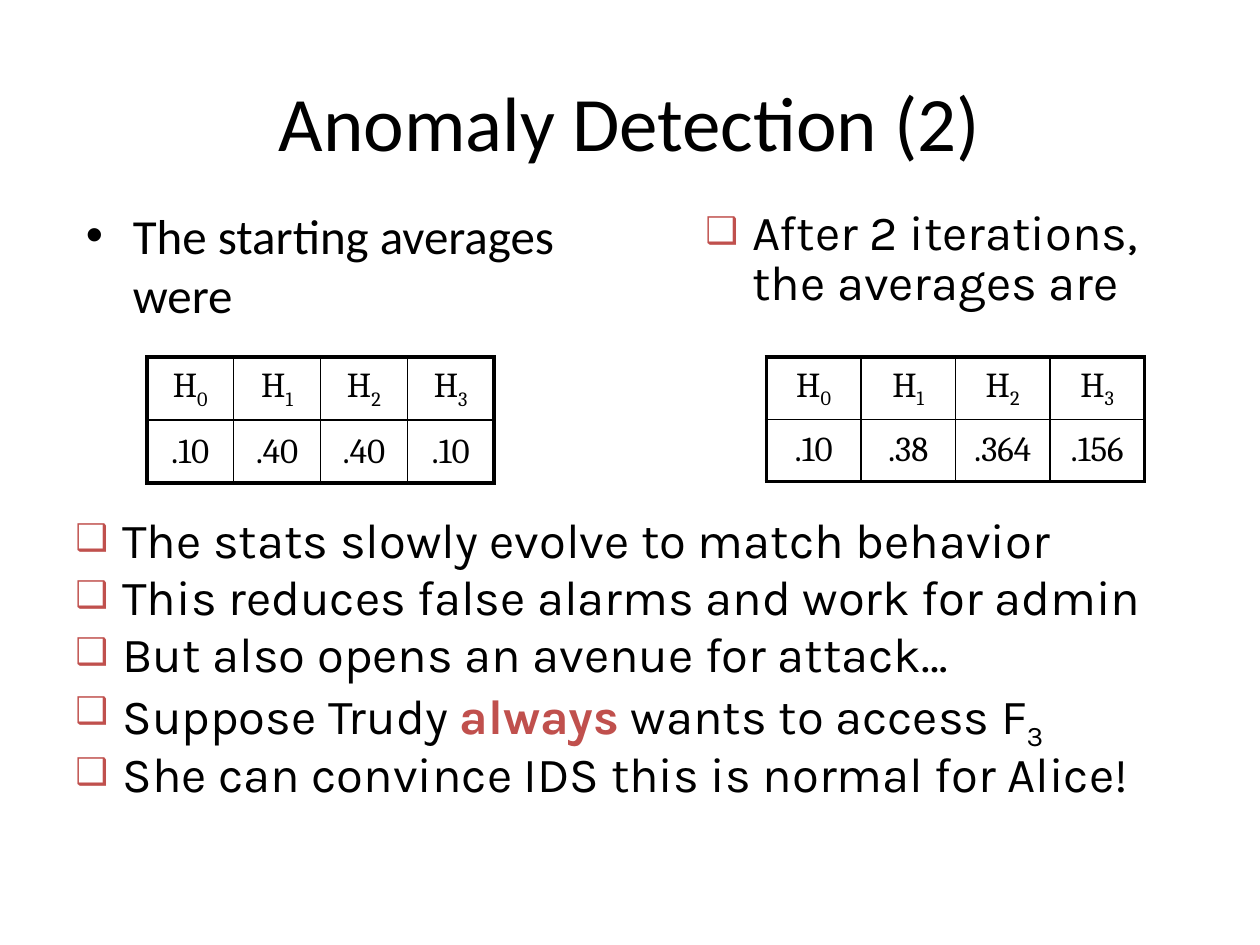
"""Builds the anomaly detection slide with two tables of averages."""
from lxml import etree
from pptx import Presentation
from pptx.dml.color import RGBColor
from pptx.enum.text import MSO_ANCHOR, PP_ALIGN
from pptx.oxml.ns import qn
from pptx.util import Cm, Pt

CENTER = PP_ALIGN.CENTER
MIDDLE = MSO_ANCHOR.MIDDLE
COLORS = {"text": "000000", "accent": "C0504D"}
THIN, THICK = 1, 2.25
INDENT = Cm(0.95)


class SlideBuilder:
    """Holds the style and the current slide."""

    def __init__(self, presentation):
        self.slide = presentation.slides.add_slide(presentation.slide_layouts[6])

    def add_runs(self, paragraph, parts, font, size):
        for part in parts:
            text, style = part if isinstance(part, tuple) else (part, "")
            run = paragraph.add_run()
            run.text = text
            run.font.name = font
            run.font.size = Pt(size)
            strong = style == "strong"
            run.font.bold = strong
            color = COLORS["accent" if strong else "text"]
            run.font.color.rgb = RGBColor.from_string(color)
            if style == "sub":
                run.font._element.set("baseline", "-25000")

    def text_frame(self, left, top, width, height):
        shape = self.slide.shapes.add_textbox(Cm(left), Cm(top), Cm(width), Cm(height))
        shape.text_frame.word_wrap = True
        return shape.text_frame

    def title(self, text, *box):
        frame = self.text_frame(*box)
        frame.vertical_anchor = MIDDLE
        paragraph = frame.paragraphs[0]
        paragraph.alignment = CENTER
        self.add_runs(paragraph, [text], "Calibri", 44)

    def bullet(self, paragraph, character, color=None, percent=None):
        properties = paragraph._p.get_or_add_pPr()
        properties.set("marL", str(INDENT))
        properties.set("indent", str(-INDENT))
        if color:
            bullet_color = etree.SubElement(properties, qn("a:buClr"))
            etree.SubElement(bullet_color, qn("a:srgbClr"), val=COLORS[color])
        if percent:
            etree.SubElement(properties, qn("a:buSzPct"), val=str(percent * 1000))
        etree.SubElement(properties, qn("a:buFont"), typeface="Arial")
        etree.SubElement(properties, qn("a:buChar"), char=character)

    def bullets(self, items, box, font="Karla", line_spacing=0.8, bullet=("❑", "accent", 75)):
        frame = self.text_frame(*box)
        for index, parts in enumerate(items):
            paragraph = frame.add_paragraph() if index else frame.paragraphs[0]
            paragraph.line_spacing = line_spacing
            paragraph.space_before = Pt(5.6)
            self.bullet(paragraph, *bullet)
            self.add_runs(paragraph, parts, font, 28)

    def borders(self, cell, widths):
        properties = cell._tc.get_or_add_tcPr()
        for index, (side, width) in enumerate(widths.items()):
            line = etree.Element(qn(f"a:ln{side}"), w=str(Pt(width)))
            fill = etree.SubElement(line, qn("a:solidFill"))
            etree.SubElement(fill, qn("a:srgbClr"), val=COLORS["text"])
            properties.insert(index, line)

    def averages(self, values, *box):
        headings = [["H", (str(index), "sub")] for index in range(len(values))]
        rows = [headings, [[value] for value in values]]
        last_row, last_column = len(rows) - 1, len(values) - 1
        table = self.slide.shapes.add_table(
            len(rows), len(values), *(Cm(length) for length in box)).table
        table.first_row = table.horz_banding = False
        for row, cells in enumerate(rows):
            for column, parts in enumerate(cells):
                cell = table.cell(row, column)
                cell.fill.background()
                cell.vertical_anchor = MIDDLE
                paragraph = cell.text_frame.paragraphs[0]
                paragraph.alignment = CENTER
                paragraph.space_before = Pt(4)
                self.add_runs(paragraph, parts, "Cambria", 20)
                self.borders(cell, {
                    "L": THICK if column == 0 else THIN,
                    "R": THICK if column == last_column else THIN,
                    "T": THICK if row == 0 else THIN,
                    "B": THICK if row == last_row else THIN,
                })


presentation = Presentation()
presentation.slide_width = Cm(25.4)
presentation.slide_height = Cm(19.05)
builder = SlideBuilder(presentation)
builder.title("Anomaly Detection (2)", 1.9, 0.85, 21.6, 3.18)
builder.bullets([["The starting averages were"]], (1.48, 4.02, 10.37, 2.75),
                font="Calibri", line_spacing=1.0, bullet=("•",))
builder.averages([".10", ".40", ".40", ".10"], 2.96, 7.2, 7, 2.54)
builder.bullets([
    ["The stats slowly evolve to match behavior"],
    ["This reduces false alarms and work for admin"],
    ["But also opens an avenue for attack…"],
    ["Suppose Trudy ", ("always", "strong"), " wants to access F", ("3", "sub")],
    ["She can convince IDS this is normal for Alice!"],
], (1.27, 10.37, 23.07, 6.77))
builder.bullets([["After 2 iterations, the averages are"]],
                (13.97, 4.11, 10.37, 2.46), line_spacing=0.85)
builder.averages([".10", ".38", ".364", ".156"], 15.45, 7.2, 7.62, 2.51)
presentation.save("out.pptx")
